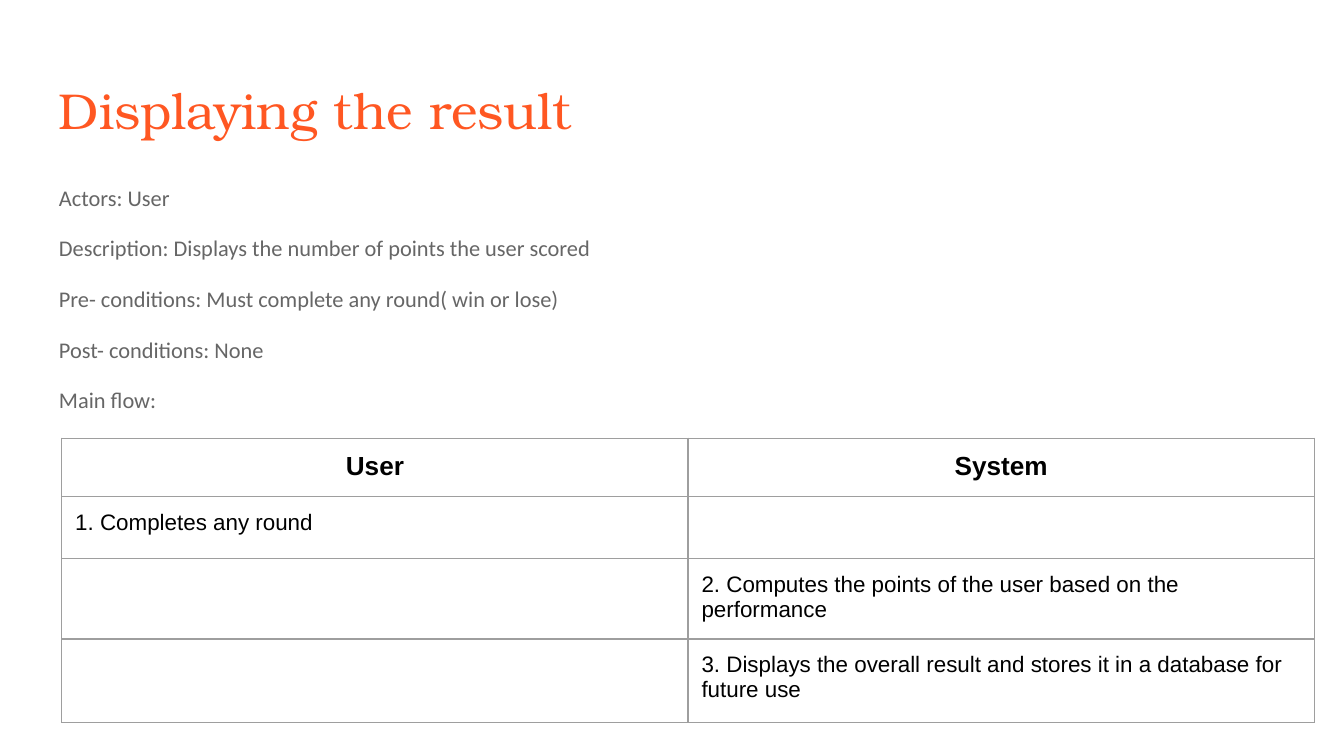
from lxml.etree import SubElement
from pptx import Presentation
from pptx.dml.color import RGBColor
from pptx.enum.text import PP_ALIGN
from pptx.oxml.ns import qn
from pptx.util import Inches, Pt

COLORS = {"title": "FF5722", "body": "666666", "cell": "000000",
          "border": "9E9E9E", "paper": "FFFFFF"}
WIDTH = 10
HEIGHT = WIDTH * 9 / 16
INSET = Inches(0.1)


class UseCaseSlide:
    """Hold the style and the slide of one use case, placed in shares of its size."""

    def __init__(self, presentation):
        self.width = presentation.slide_width
        self.height = presentation.slide_height
        self.slide = presentation.slides.add_slide(presentation.slide_layouts[6])
        self.slide.background.fill.solid()
        self.slide.background.fill.fore_color.rgb = RGBColor.from_string(COLORS["paper"])

    def box(self, left, top, width, height):
        return (round(left * self.width), round(top * self.height),
                round(width * self.width), round(height * self.height))

    def style(self, paragraph, font, size, color, bold=False):
        for run in paragraph.runs:
            run.font.name = font
            run.font.size = Pt(size)
            run.font.bold = bold
            run.font.color.rgb = RGBColor.from_string(COLORS[color])

    def pad(self, holder):
        holder.margin_left = holder.margin_right = INSET
        holder.margin_top = holder.margin_bottom = INSET

    def text(self, place, lines, font, size, color, spacing=1.0, gap=0):
        frame = self.slide.shapes.add_textbox(*self.box(*place)).text_frame
        frame.word_wrap = True
        self.pad(frame)
        frame.text = "\n".join(lines)
        for index, paragraph in enumerate(frame.paragraphs):
            paragraph.line_spacing = spacing
            paragraph.space_before = Pt(gap if index else 0)
            self.style(paragraph, font, size, color)

    def border(self, cell):
        properties = cell._tc.get_or_add_tcPr()
        for position, side in enumerate(("lnL", "lnR", "lnT", "lnB")):
            line = SubElement(properties, qn(f"a:{side}"), w=str(Pt(0.75)))
            fill = SubElement(line, qn("a:solidFill"))
            SubElement(fill, qn("a:srgbClr"), val=COLORS["border"])
            properties.remove(line)
            properties.insert(position, line)

    def table(self, place, rows, row_shares):
        flow = self.slide.shapes.add_table(
            len(rows), len(rows[0]), *self.box(*place)).table
        flow.first_row = flow.horz_banding = False
        for row, share in zip(flow.rows, row_shares):
            row.height = round(share * self.height)
        for row_index, row in enumerate(rows):
            for column_index, words in enumerate(row):
                self.cell(flow.cell(row_index, column_index), words, row_index == 0)

    def cell(self, cell, words, heading):
        cell.fill.background()
        self.border(cell)
        if not words:
            return
        self.pad(cell)
        cell.text_frame.text = words
        paragraph = cell.text_frame.paragraphs[0]
        paragraph.alignment = PP_ALIGN.CENTER if heading else PP_ALIGN.LEFT
        self.style(paragraph, "Arial", 14 if heading else 12, "cell", heading)


def main():
    presentation = Presentation()
    presentation.slide_width = Inches(WIDTH)
    presentation.slide_height = Inches(HEIGHT)
    use_case = UseCaseSlide(presentation)
    left, span = 0.34 / WIDTH, 9.32 / WIDTH
    use_case.text((left, 0.49 / HEIGHT, span, 0.63 / HEIGHT),
                  ["Displaying the result"], "TeX Gyre Bonum", 27, "title")
    use_case.text((left, 1.26 / HEIGHT, span, 3.74 / HEIGHT), [
        "Actors: User",
        "Description: Displays the number of points the user scored",
        "Pre- conditions: Must complete any round( win or lose)",
        "Post- conditions: None",
        "Main flow:",
    ], "Calibri", 12, "body", 1.05, 12)
    row_shares = [height / HEIGHT for height in (0.33, 0.46, 0.46, 0.62)]
    use_case.table((0.46 / WIDTH, 3.26 / HEIGHT, span, sum(row_shares)), [
        ("User", "System"),
        ("1. Completes any round", ""),
        ("", "2. Computes the points of the user based on the performance"),
        ("", "3. Displays the overall result and stores it in a database for future use"),
    ], row_shares)
    presentation.save("out.pptx")


if __name__ == "__main__":
    main()
